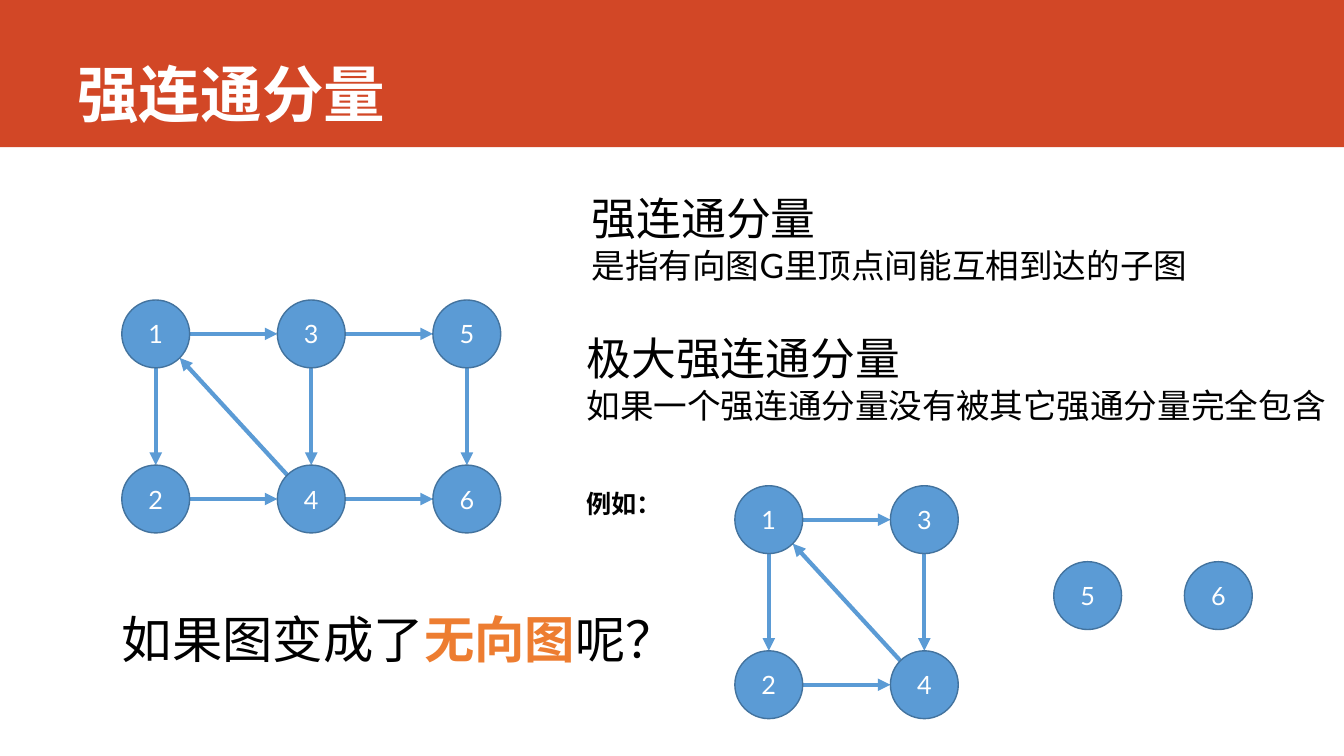
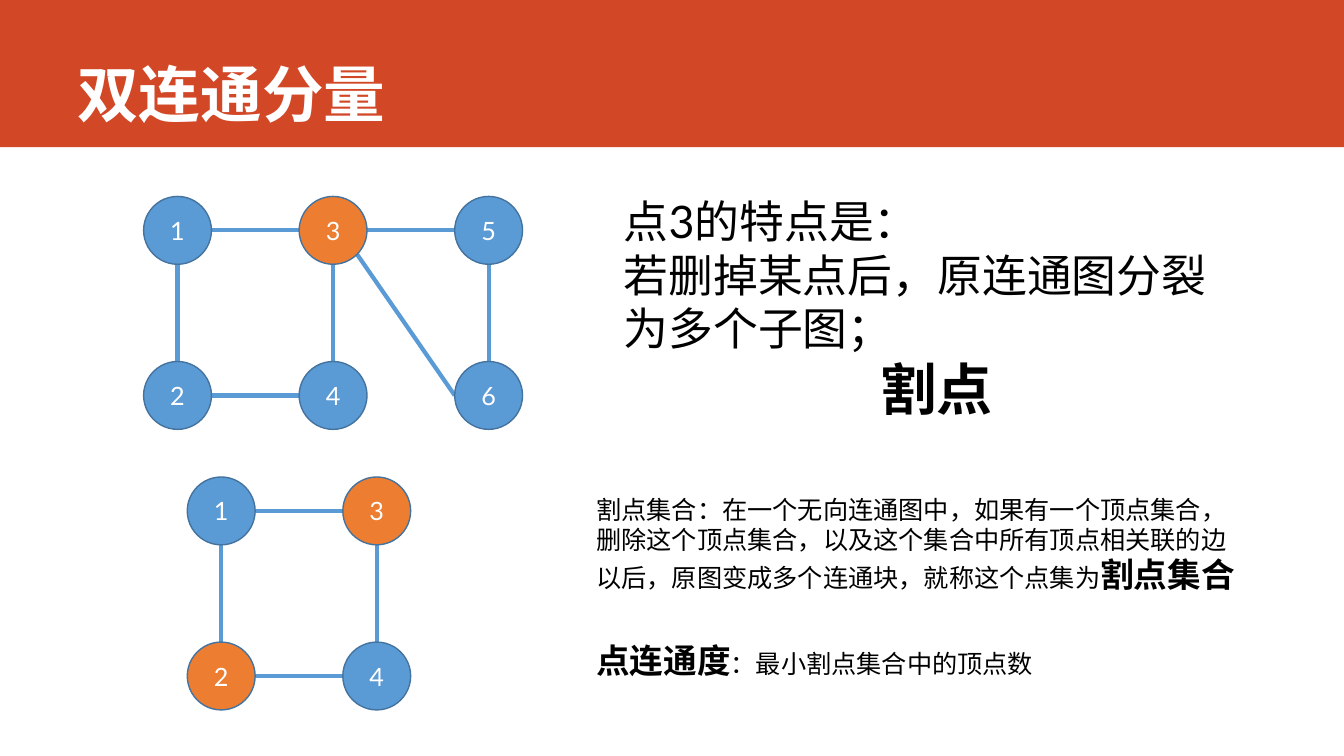
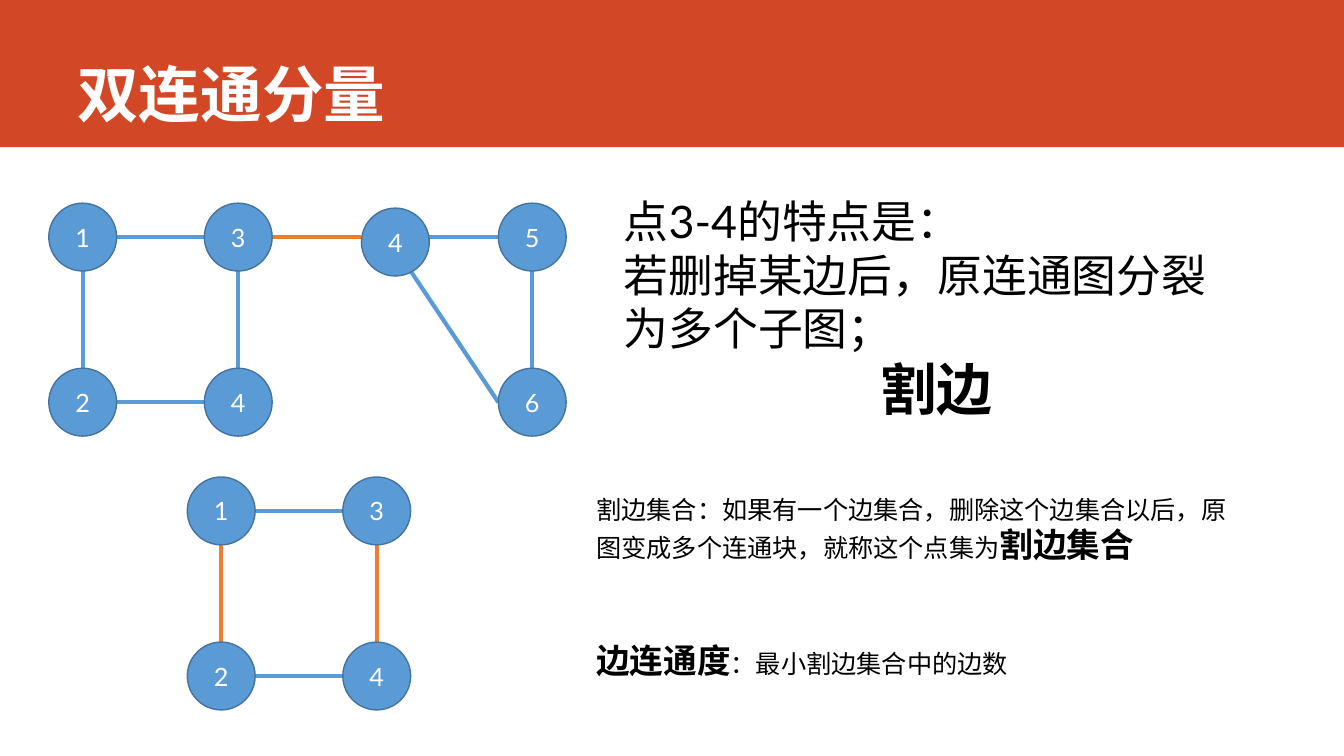
import dataclasses
import math
import typing

import lxml.etree
import pptx
import pptx.dml.color
import pptx.enum.shapes
import pptx.enum.text
import pptx.oxml.ns
import pptx.util

Cm = pptx.util.Cm
Pt = pptx.util.Pt
ALIGN = pptx.enum.text.PP_ALIGN
ANCHOR = pptx.enum.text.MSO_ANCHOR

# Shared look
COLORS = {
    "band": "D24726", "white": "FFFFFF", "black": "000000",
    "node": "5B9BD5", "outline": "43739E", "accent": "ED7D31",
}
BODY_FONT = "Lato"
TITLE_FONT = "Noto Sans CJK SC"
SLIDE_WIDTH, SLIDE_HEIGHT = 33.87, 19.05
BAND_HEIGHT = 3.71

# Graph grid, in centimetres
DIAMETER = 1.71
COLUMN_STEP, ROW_STEP = 3.92, 4.16

# Edge routes: clockwise angles where an edge leaves and enters a node
ACROSS = (0, 180)
DOWN = (90, 270)
DIAGONAL_BACK = (225, 45)
SLANT = (45, 180)
STEEP_SLANT = (62, 180)


@dataclasses.dataclass(frozen=True)
class Run:
    text: str
    size: float
    bold: bool = False
    color: str = "black"
    font: str = BODY_FONT


@dataclasses.dataclass(frozen=True)
class Paragraph:
    runs: tuple[Run, ...]
    format: dict[str, typing.Any] = dataclasses.field(default_factory=dict)


@dataclasses.dataclass(frozen=True)
class TextBlock:
    left: float
    top: float
    width: float
    height: float
    paragraphs: tuple[Paragraph, ...]
    anchor: typing.Any = ANCHOR.TOP


@dataclasses.dataclass(frozen=True)
class Node:
    label: str
    column: float
    row: float
    color: str = "node"


@dataclasses.dataclass(frozen=True)
class Edge:
    start: int
    end: int
    route: tuple[int, int]
    color: str = "node"


@dataclasses.dataclass(frozen=True)
class Graph:
    left: float
    top: float
    nodes: tuple[Node, ...]
    edges: tuple[Edge, ...]
    directed: bool = False


@dataclasses.dataclass(frozen=True)
class Page:
    title: str
    graphs: tuple[Graph, ...]
    texts: tuple[TextBlock, ...]


def rgb(name: str) -> pptx.dml.color.RGBColor:
    return pptx.dml.color.RGBColor.from_string(COLORS[name])


def set_attributes(target: typing.Any, values: dict[str, typing.Any]) -> None:
    for name, value in values.items():
        setattr(target, name, value)


def add_run(paragraph: typing.Any, item: Run) -> None:
    run = paragraph.add_run()
    run.text = item.text
    set_attributes(run.font, {"size": Pt(item.size), "bold": item.bold, "name": item.font})
    run.font.color.rgb = rgb(item.color)
    east_asian = lxml.etree.SubElement(run.font._element, pptx.oxml.ns.qn("a:ea"))
    east_asian.set("typeface", item.font)


def add_text(slide: typing.Any, block: TextBlock) -> None:
    box = slide.shapes.add_textbox(
        Cm(block.left), Cm(block.top), Cm(block.width), Cm(block.height))
    frame = box.text_frame
    set_attributes(frame, {"word_wrap": True, "vertical_anchor": block.anchor})
    for index, item in enumerate(block.paragraphs):
        paragraph = frame.add_paragraph() if index else frame.paragraphs[0]
        set_attributes(paragraph, item.format)
        for run in item.runs:
            add_run(paragraph, run)


def add_filled_shape(shapes: typing.Any, kind: typing.Any, left: float, top: float,
                     width: float, height: float, color: str) -> typing.Any:
    shape = shapes.add_shape(kind, Cm(left), Cm(top), Cm(width), Cm(height))
    shape.shadow.inherit = False
    shape.fill.solid()
    shape.fill.fore_color.rgb = rgb(color)
    return shape


def add_header(slide: typing.Any, title: str) -> None:
    band = add_filled_shape(slide.shapes, pptx.enum.shapes.MSO_SHAPE.RECTANGLE,
                            0, 0, SLIDE_WIDTH, BAND_HEIGHT, "band")
    band.line.fill.background()
    run = Run(title, 44, True, "white", TITLE_FONT)
    add_text(slide, TextBlock(1.7, 0, 29.85, 3.4, (Paragraph((run,)),), ANCHOR.BOTTOM))


def node_center(graph: Graph, node: Node) -> tuple[float, float]:
    return (graph.left + node.column * COLUMN_STEP + DIAMETER / 2,
            graph.top + node.row * ROW_STEP + DIAMETER / 2)


def rim_point(graph: Graph, node: Node, angle: int) -> tuple[float, float]:
    x, y = node_center(graph, node)
    radians = math.radians(angle)
    return x + DIAMETER / 2 * math.cos(radians), y + DIAMETER / 2 * math.sin(radians)


def add_edge(shapes: typing.Any, graph: Graph, edge: Edge) -> None:
    x1, y1 = rim_point(graph, graph.nodes[edge.start], edge.route[0])
    x2, y2 = rim_point(graph, graph.nodes[edge.end], edge.route[1])
    if edge.route == ACROSS:  # keep it level when the nodes are not
        y1 = y2 = min(y1, y2)
    connector = shapes.add_connector(
        pptx.enum.shapes.MSO_CONNECTOR.STRAIGHT, Cm(x1), Cm(y1), Cm(x2), Cm(y2))
    connector.line.color.rgb = rgb(edge.color)
    connector.line.width = Pt(3)
    if graph.directed:
        arrowhead = lxml.etree.SubElement(
            connector.line._get_or_add_ln(), pptx.oxml.ns.qn("a:tailEnd"))
        arrowhead.set("type", "triangle")
    lxml.etree.SubElement(connector._element.spPr, pptx.oxml.ns.qn("a:effectLst"))


def add_node(shapes: typing.Any, graph: Graph, node: Node) -> None:
    x, y = node_center(graph, node)
    circle = add_filled_shape(shapes, pptx.enum.shapes.MSO_SHAPE.OVAL, x - DIAMETER / 2,
                              y - DIAMETER / 2, DIAMETER, DIAMETER, node.color)
    circle.line.color.rgb = rgb("outline")
    circle.line.width = Pt(1)
    circle.text_frame.vertical_anchor = ANCHOR.MIDDLE
    paragraph = circle.text_frame.paragraphs[0]
    paragraph.alignment = ALIGN.CENTER
    add_run(paragraph, Run(node.label, 18, color="white"))


def add_graph(slide: typing.Any, graph: Graph) -> None:
    shapes = slide.shapes if graph.directed else slide.shapes.add_group_shape().shapes
    for edge in graph.edges:
        add_edge(shapes, graph, edge)
    for node in graph.nodes:
        add_node(shapes, graph, node)


def square_nodes(*accented: str) -> tuple[Node, ...]:
    """Nodes 1 to 4, filled column by column."""
    return tuple(
        Node(str(index + 1), index // 2, index % 2,
             "accent" if str(index + 1) in accented else "node")
        for index in range(4))


def square_edges(upright_color: str = "node") -> tuple[Edge, ...]:
    return (Edge(0, 1, DOWN, upright_color), Edge(2, 3, DOWN, upright_color),
            Edge(0, 2, ACROSS), Edge(1, 3, ACROSS))


def definition(heading: str, body: str) -> tuple[Paragraph, ...]:
    return (Paragraph((Run(heading, 32),), {"line_spacing": 1.5}),
            Paragraph((Run(body, 24),)))


def cut_texts(subject: str, feature: str, term: str, set_text: str, set_term: str,
              degree: str, degree_text: str) -> tuple[TextBlock, ...]:
    """Feature, set definition and connectivity, as on both cut slides."""
    return (
        TextBlock(15.47, 4.75, 16.26, 6.07, (
            Paragraph((Run(subject, 32),)),
            Paragraph((Run(feature, 32),)),
            Paragraph((Run(term, 40, True),), {"alignment": ALIGN.CENTER}))),
        TextBlock(14.78, 12.32, 16.94, 2.82, (
            Paragraph((Run(set_text, 18), Run(set_term, 24, True))),)),
        TextBlock(14.78, 16, 16.94, 1.27, (
            Paragraph((Run(degree, 24, True), Run(degree_text, 18))),)),
    )


# Slide contents
FIVE, SIX = Node("5", 2, 0), Node("6", 2, 1)
BACK_EDGE = Edge(3, 0, DIAGONAL_BACK)
LOWER_LEFT, LOWER_TOP = 4.72, 12.02

PAGES = (
    Page("强连通分量", (
        Graph(3.07, 7.56, square_nodes() + (FIVE, SIX), square_edges() + (
            Edge(4, 5, DOWN), Edge(2, 4, ACROSS), Edge(3, 5, ACROSS), BACK_EDGE), True),
        Graph(18.52, 12.24, square_nodes() + (
            Node("5", 2.05, 0.46), Node("6", 2.89, 0.46)),
            square_edges() + (BACK_EDGE,), True),
    ), (
        TextBlock(14.66, 4.01, 15.65, 3.33, definition(
            "强连通分量", "是指有向图G里顶点间能互相到达的子图")),
        TextBlock(14.53, 7.54, 19.33, 3.33, definition(
            "极大强连通分量", "如果一个强连通分量没有被其它强通分量完全包含")),
        TextBlock(14.53, 12.19, 2.77, 1.02, (Paragraph((Run("例如：", 18, True),)),)),
        TextBlock(2.82, 15.21, 13.74, 1.8, (Paragraph((
            Run("如果图变成了", 36), Run("无向图", 36, True, "accent"), Run("呢？", 36))),)),
    )),
    Page("双连通分量", (
        Graph(3.62, 4.95, square_nodes("3") + (FIVE, SIX), square_edges() + (
            Edge(4, 5, DOWN), Edge(2, 4, ACROSS), Edge(2, 5, SLANT))),
        Graph(LOWER_LEFT, LOWER_TOP, square_nodes("2", "3"), square_edges()),
    ), cut_texts(
        "点3的特点是：", "若删掉某点后，原连通图分裂为多个子图；", "割点",
        "割点集合：在一个无向连通图中，如果有一个顶点集合，删除这个顶点集合，"
        "以及这个集合中所有顶点相关联的边以后，原图变成多个连通块，就称这个点集为",
        "割点集合", "点连通度", "：最小割点集合中的顶点数")),
    Page("双连通分量", (
        Graph(1.23, 5.12, square_nodes() + (
            Node("4", 2.01, 0.03), Node("5", 2.89, 0), Node("6", 2.89, 1)),
            square_edges() + (
                Edge(2, 4, ACROSS, "accent"), Edge(4, 5, ACROSS),
                Edge(5, 6, DOWN), Edge(4, 6, STEEP_SLANT))),
        Graph(LOWER_LEFT, LOWER_TOP, square_nodes(), square_edges("accent")),
    ), cut_texts(
        "点3-4的特点是：", "若删掉某边后，原连通图分裂为多个子图；", "割边",
        "割边集合：如果有一个边集合，删除这个边集合以后，原图变成多个连通块，"
        "就称这个点集为",
        "割边集合", "边连通度", "：最小割边集合中的边数")),
)


def main() -> None:
    presentation = pptx.Presentation()
    set_attributes(presentation, {
        "slide_width": Cm(SLIDE_WIDTH), "slide_height": Cm(SLIDE_HEIGHT)})
    blank_layout = presentation.slide_layouts[6]
    for page in PAGES:
        slide = presentation.slides.add_slide(blank_layout)
        add_header(slide, page.title)
        for graph in page.graphs:
            add_graph(slide, graph)
        for text in page.texts:
            add_text(slide, text)
    presentation.save("out.pptx")


if __name__ == "__main__":
    main()
